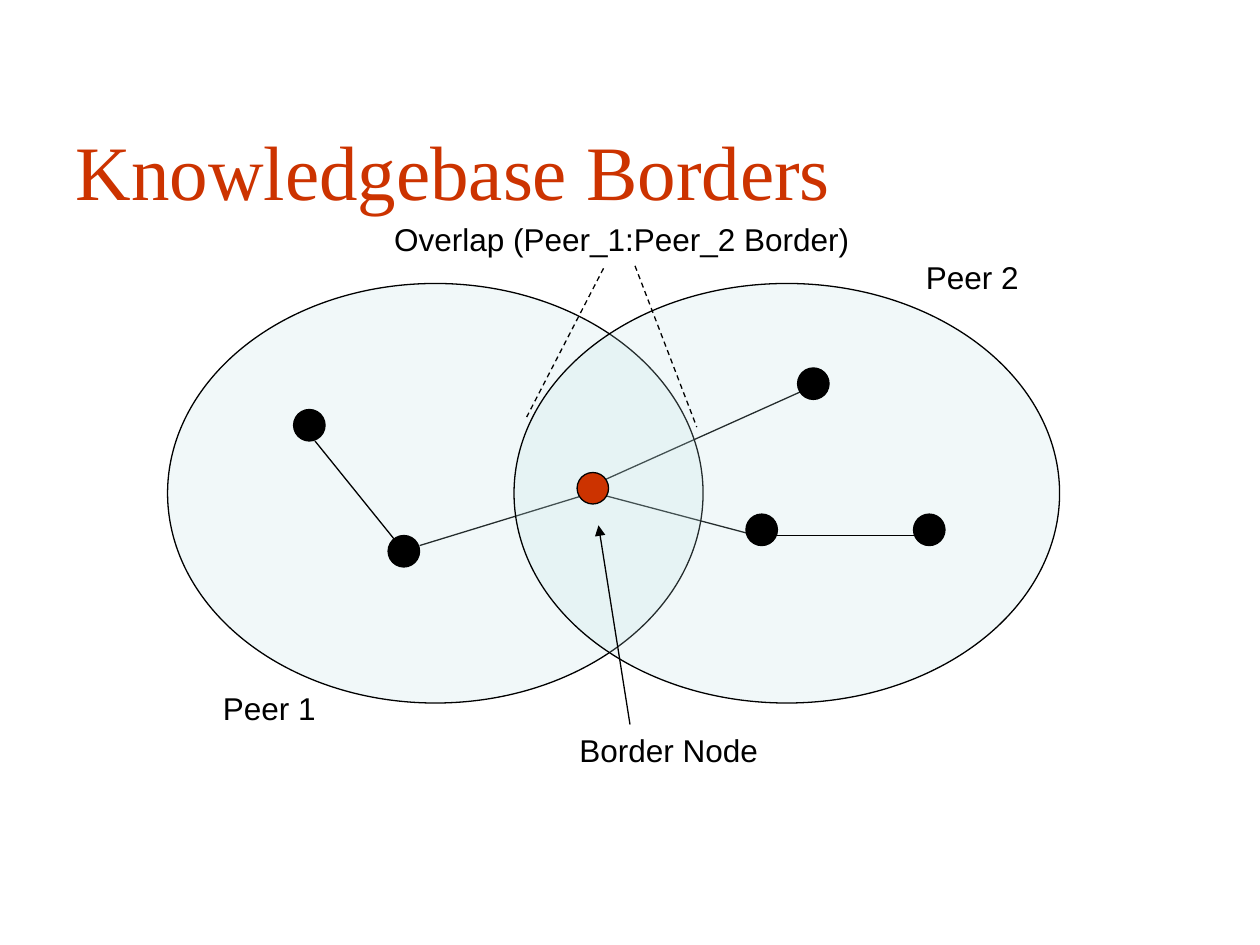
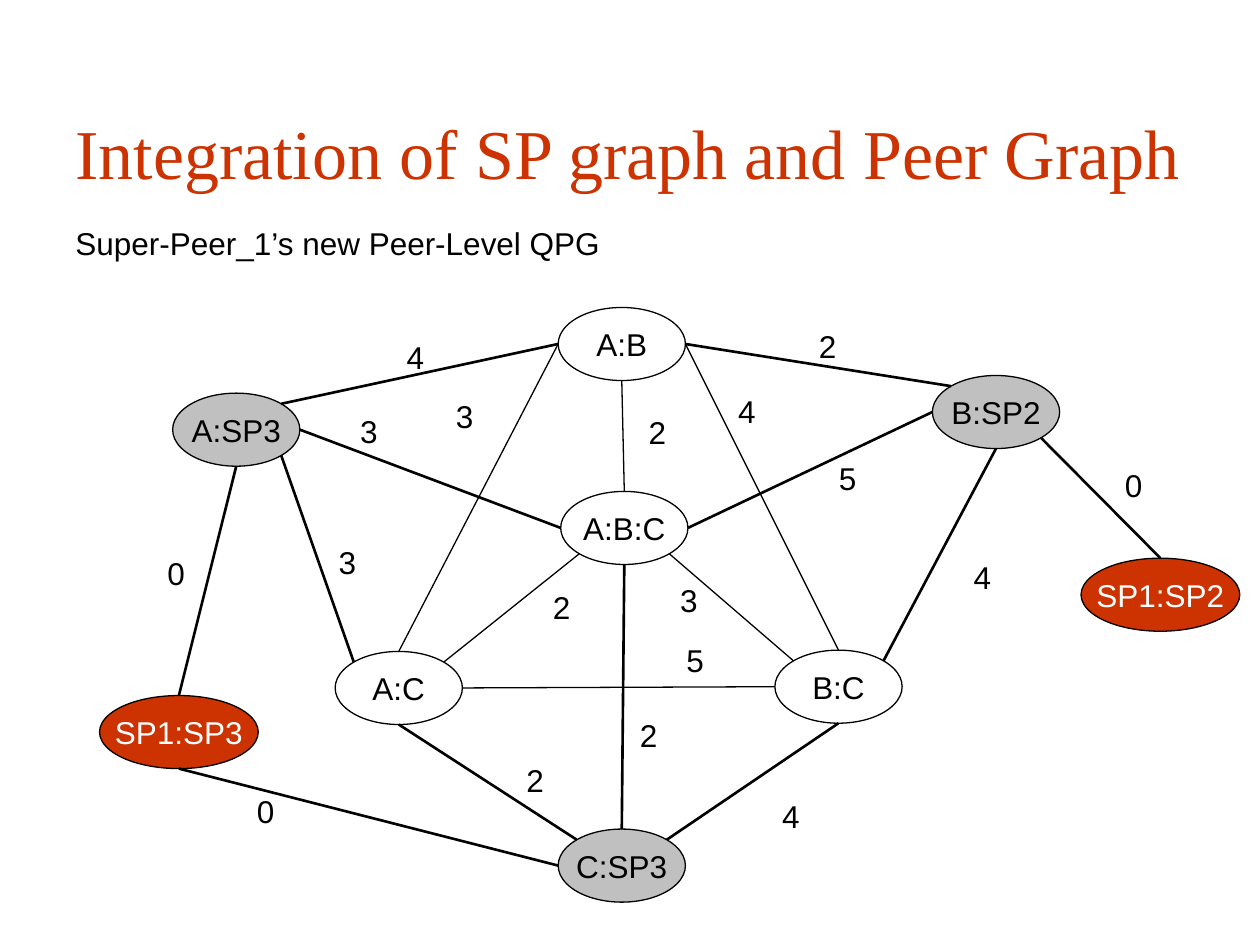
from math import cos, pi, sin

from lxml.etree import SubElement
from pptx import Presentation
from pptx.dml.color import RGBColor
from pptx.enum.dml import MSO_LINE
from pptx.enum.shapes import MSO_CONNECTOR, MSO_SHAPE
from pptx.enum.text import MSO_ANCHOR, MSO_AUTO_SIZE, PP_ALIGN
from pptx.oxml.ns import qn
from pptx.util import Inches, Pt

COLORS = {
    "ink": "000000",
    "paper": "FFFFFF",
    "accent": "CC3300",
    "peer": "BBE0E3",
    "bridge": "C0C0C0",
}
TITLE_FONT = "Times New Roman"
BODY_FONT = "Arial"
TITLE_ONLY = 5
THIN, THICK = 0.75, 1.5
TOP, TOP_LEFT, LEFT, BOTTOM_LEFT, BOTTOM, BOTTOM_RIGHT, RIGHT, TOP_RIGHT = range(8)


class Sketch:
    def __init__(self):
        self.deck = Presentation()
        self.deck.slide_width = Inches(10)
        self.deck.slide_height = Inches(7.5)
        self.page = None

    def color(self, name):
        return RGBColor.from_string(COLORS[name])

    def set_text(self, frame, text, size=18, font=BODY_FONT, color="ink", align=PP_ALIGN.LEFT):
        para = frame.paragraphs[0]
        para.text = text
        para.alignment = align
        para.font.size = Pt(size)
        para.font.name = font
        para.font.color.rgb = self.color(color)

    def start_page(self, title, size, height):
        self.page = self.deck.slides.add_slide(self.deck.slide_layouts[TITLE_ONLY])
        box = self.page.shapes.title
        box.left, box.top = Inches(0.5), Inches(0.72)
        box.width, box.height = Inches(9), Inches(height)
        frame = box.text_frame
        frame.auto_size = MSO_AUTO_SIZE.NONE
        frame.vertical_anchor = MSO_ANCHOR.MIDDLE
        self.set_text(frame, title, size, TITLE_FONT, "accent")

    def label(self, text, left, top, width=0.34, wrap=False):
        box = self.page.shapes.add_textbox(
            Inches(left), Inches(top), Inches(width), Inches(0.4))
        box.text_frame.word_wrap = wrap
        box.text_frame.auto_size = MSO_AUTO_SIZE.SHAPE_TO_FIT_TEXT
        self.set_text(box.text_frame, text)

    def ellipse(self, left, top, width, height, fill, opacity=100):
        shape = self.page.shapes.add_shape(
            MSO_SHAPE.OVAL, Inches(left), Inches(top), Inches(width), Inches(height))
        shape.shadow.inherit = False
        shape.fill.solid()
        shape.fill.fore_color.rgb = self.color(fill)
        shape.line.color.rgb = self.color("ink")
        shape.line.width = Pt(THIN)
        if opacity < 100:
            tint = shape._element.spPr.find(qn("a:solidFill"))[0]
            SubElement(tint, qn("a:alpha"), val=str(opacity * 1000))
        return shape

    def node(self, text, left, top, width, fill, color):
        shape = self.ellipse(left, top, width, 0.58, fill)
        frame = shape.text_frame
        frame.word_wrap = False
        frame.vertical_anchor = MSO_ANCHOR.MIDDLE
        self.set_text(frame, text, color=color, align=PP_ALIGN.CENTER)
        return shape

    def line(self, start, end, width=THIN, dashed=False, arrow=False):
        connector = self.page.shapes.add_connector(
            MSO_CONNECTOR.STRAIGHT, *(Inches(value) for value in start + end))
        connector.line.color.rgb = self.color("ink")
        connector.line.width = Pt(width)
        if dashed:
            connector.line.dash_style = MSO_LINE.DASH
        properties = connector._element.spPr
        if arrow:
            SubElement(properties.find(qn("a:ln")), qn("a:tailEnd"), type="triangle")
        SubElement(properties, qn("a:effectLst"))
        return connector

    def site(self, shape, index):
        angle = index * pi / 4
        across = shape.left + shape.width / 2 * (1 - sin(angle))
        down = shape.top + shape.height / 2 * (1 - cos(angle))
        return across / Inches(1), down / Inches(1)

    def edge(self, first, first_site, second, second_site, width):
        connector = self.line(
            self.site(first, first_site), self.site(second, second_site), width)
        glue = connector._element.nvCxnSpPr.cNvCxnSpPr
        SubElement(glue, qn("a:stCxn"), id=str(first.shape_id), idx=str(first_site))
        SubElement(glue, qn("a:endCxn"), id=str(second.shape_id), idx=str(second_site))


def draw_borders(sketch):
    sketch.start_page("Knowledgebase Borders", 44, 1.25)

    for start, end in [
        ((4.75, 3.92), (6, 4.25)),
        ((3.33, 4.33), (4.67, 3.92)),
        ((4.75, 3.83), (6.42, 3.08)),
    ]:
        sketch.line(start, end)

    for left, width in [(1.33, 4.25), (4.08, 4.33)]:
        sketch.ellipse(left, 2.25, width, 3.33, "peer", opacity=20)

    for left, top, fill in [
        (4.58, 3.75, "accent"),
        (3.08, 4.25, "ink"),
        (2.33, 3.25, "ink"),
        (5.92, 4.08, "ink"),
        (7.25, 4.08, "ink"),
        (6.33, 2.92, "ink"),
    ]:
        sketch.ellipse(left, top, 0.25, 0.25, fill)

    sketch.line((2.5, 3.5), (3.17, 4.33))
    sketch.line((6.08, 4.25), (7.33, 4.25))

    sketch.label("Peer 1", 1.67, 5.42, 1.75, wrap=True)
    sketch.label("Peer 2", 7.25, 2, 1.75, wrap=True)
    sketch.label("Border Node", 4.5, 5.75, 2.5, wrap=True)
    sketch.line((5, 5.75), (4.75, 4.17), arrow=True)

    sketch.label("Overlap (Peer_1:Peer_2 Border)", 3.03, 1.7, 3.81)
    sketch.line((4.79, 2.13), (4.18, 3.31), dashed=True)
    sketch.line((5.04, 2.11), (5.53, 3.39), dashed=True)


def draw_integration(sketch):
    sketch.start_page("Integration of SP graph and Peer Graph", 40, 0.97)
    sketch.label("Super-Peer_1’s new Peer-Level QPG", 0.5, 1.73, 4.37)

    nodes = {
        text: sketch.node(text, left, top, width, fill, color)
        for fill, color, width, places in [
            ("paper", "ink", 1.01, [
                ("A:B", 4.43, 2.44), ("A:B:C", 4.45, 3.9),
                ("B:C", 6.15, 5.16), ("A:C", 2.66, 5.17)]),
            ("bridge", "ink", 1.01, [
                ("A:SP3", 1.37, 3.12), ("B:SP2", 7.4, 2.98), ("C:SP3", 4.43, 6.58)]),
            ("accent", "paper", 1.26, [
                ("SP1:SP3", 0.79, 5.52), ("SP1:SP2", 8.58, 4.43)]),
        ]
        for text, left, top in places
    }

    edges = {
        THIN: [
            ("A:C", TOP_RIGHT, "A:B:C", BOTTOM_LEFT),
            ("B:C", TOP_LEFT, "A:B:C", BOTTOM_RIGHT),
            ("A:C", TOP, "A:B", LEFT),
            ("B:C", TOP, "A:B", RIGHT),
            ("A:B:C", TOP, "A:B", BOTTOM),
            ("A:C", RIGHT, "B:C", LEFT),
        ],
        THICK: [
            ("SP1:SP3", TOP, "A:SP3", BOTTOM),
            ("SP1:SP3", BOTTOM, "C:SP3", LEFT),
            ("A:SP3", TOP_RIGHT, "A:B", LEFT),
            ("A:B:C", LEFT, "A:SP3", RIGHT),
            ("A:C", TOP_LEFT, "A:SP3", BOTTOM_RIGHT),
            ("C:SP3", TOP_LEFT, "A:C", BOTTOM),
            ("A:B", RIGHT, "B:SP2", TOP_LEFT),
            ("A:B:C", RIGHT, "B:SP2", LEFT),
            ("B:C", TOP_RIGHT, "B:SP2", BOTTOM),
            ("C:SP3", TOP, "A:B:C", BOTTOM),
            ("C:SP3", TOP_RIGHT, "B:C", BOTTOM),
            ("SP1:SP2", TOP, "B:SP2", BOTTOM_RIGHT),
        ],
    }
    for width, links in edges.items():
        for first, first_site, second, second_site in links:
            sketch.edge(nodes[first], first_site, nodes[second], second_site, width)

    weights = {
        "0": [(1.94, 6.24), (1.23, 4.35), (8.83, 3.65)],
        "2": [(5.05, 3.23), (4.29, 4.62), (4.98, 5.63), (6.4, 2.55), (4.08, 5.99)],
        "3": [(3.52, 3.1), (5.3, 4.56), (2.59, 4.26), (2.76, 3.22)],
        "4": [(5.76, 3.06), (3.13, 2.63), (6.11, 6.28), (7.63, 4.38)],
        "5": [(5.35, 5.04), (6.56, 3.59)],
    }
    for weight, places in weights.items():
        for left, top in places:
            sketch.label(weight, left, top)


def main():
    sketch = Sketch()
    draw_borders(sketch)
    draw_integration(sketch)
    sketch.deck.save("out.pptx")


if __name__ == "__main__":
    main()
